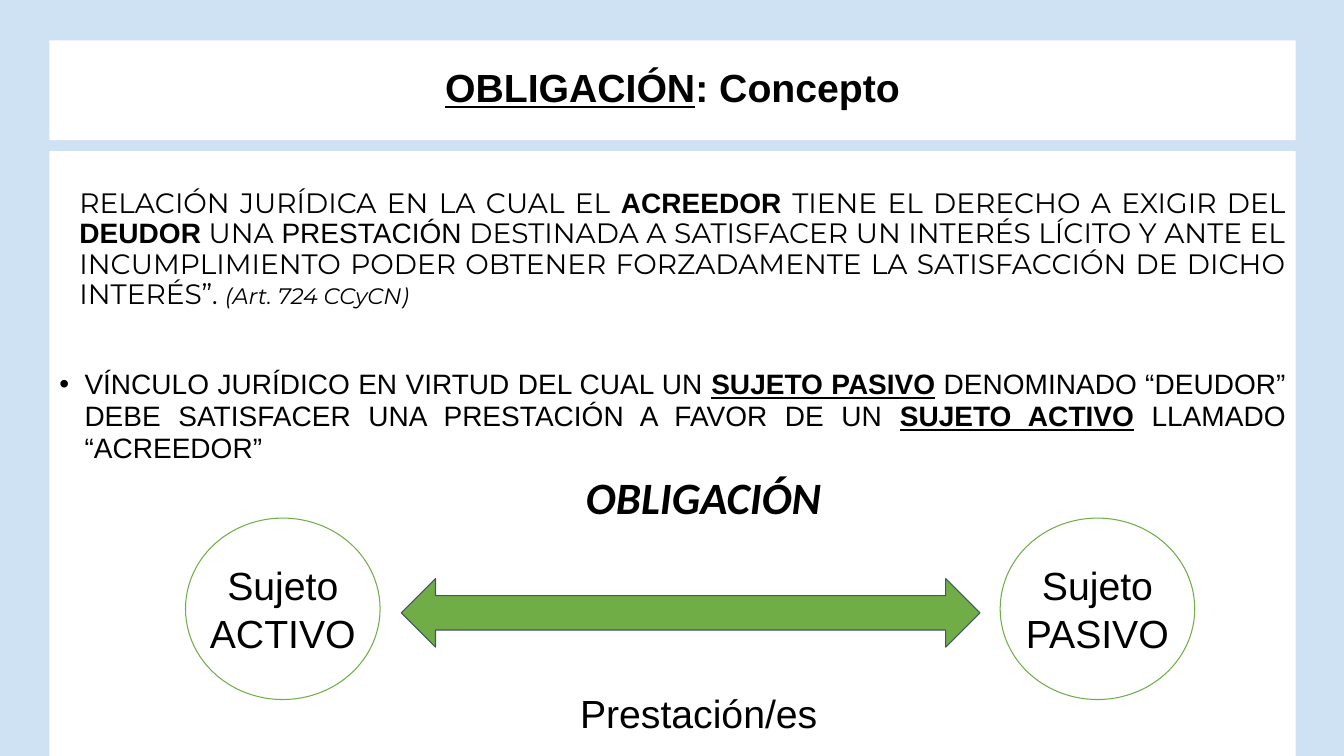
from lxml import etree
from pptx import Presentation
from pptx.dml.color import RGBColor
from pptx.enum.shapes import MSO_SHAPE
from pptx.enum.text import MSO_ANCHOR, PP_ALIGN
from pptx.oxml.ns import qn
from pptx.util import Inches, Pt

RECT, OVAL = MSO_SHAPE.RECTANGLE, MSO_SHAPE.OVAL
ARROW = MSO_SHAPE.LEFT_RIGHT_ARROW
TOP, MIDDLE = MSO_ANCHOR.TOP, MSO_ANCHOR.MIDDLE
CENTER, JUSTIFY = PP_ALIGN.CENTER, PP_ALIGN.JUSTIFY

THEME = {
    "background": "CFE2F3", "panel": "FFFFFF", "text": "000000",
    "green": "70AD47", "edge": "44546A",
    "sans": "Arial", "display": "Montserrat", "accent": "Calibri",
    "body": 20, "cite": 16, "large": 28, "heading": 32, "line": 0.75,
}

# Each run: text, font key, size key, style letters (b, i, u)
TITLE = [("OBLIGACIÓN", "sans", "large", "bu"),
         (": Concepto", "sans", "large", "b")]
DEFINITION = [
    ("RELACIÓN JURÍDICA EN LA CUAL EL ", "display", "body", ""),
    ("ACREEDOR ", "sans", "body", "b"),
    ("TIENE EL DERECHO A EXIGIR DEL ", "display", "body", ""),
    ("DEUDOR", "sans", "body", "b"),
    (" UNA ", "display", "body", ""),
    ("PRESTACIÓN", "sans", "body", ""),
    (" DESTINADA A SATISFACER UN INTERÉS LÍCITO Y ANTE EL INCUMPLIMIENTO "
     "PODER OBTENER FORZADAMENTE LA SATISFACCIÓN DE DICHO INTERÉS”. ",
     "display", "body", ""),
    ("(Art. 724 CCyCN)", "display", "cite", "i"),
]
BOND = [
    ("VÍNCULO JURÍDICO EN VIRTUD DEL CUAL UN ", "sans", "body", ""),
    ("SUJETO PASIVO", "sans", "body", "bu"),
    (" DENOMINADO “DEUDOR” DEBE SATISFACER UNA PRESTACIÓN A FAVOR DE UN ",
     "sans", "body", ""),
    ("SUJETO ACTIVO", "sans", "body", "bu"),
    (" LLAMADO “ACREEDOR”", "sans", "body", ""),
]
SUBJECTS = [(1.84, ("Sujeto", "ACTIVO")), (9.92, ("Sujeto", "PASIVO"))]
# Captions: centre x, centre y, run
CAPTIONS = [(6.98, 4.93, ("OBLIGACIÓN", "accent", "heading", "bi")),
            (6.93, 7.07, ("Prestación/es", "sans", "large", ""))]

PANEL_LEFT, PANEL_WIDTH = 0.49, 12.36
CAPTION_WIDTH, CAPTION_HEIGHT = 3, 0.6


def color(key):
    return RGBColor.from_string(THEME[key])


def add_shape(s, kind, box, fill=None, line=None):
    sp = s.shapes.add_shape(kind, *map(Inches, box))
    sp.shadow.inherit = False
    if fill:
        sp.fill.solid()
        sp.fill.fore_color.rgb = color(fill)
    else:
        sp.fill.background()
    if line:
        sp.line.color.rgb = color(line)
        sp.line.width = Pt(THEME["line"])
    else:
        sp.line.fill.background()
    return sp


def write(sp, paragraphs, align=CENTER, anchor=MIDDLE, wrap=True, spacing=1.0):
    """Fill a shape with paragraphs of runs and return the paragraphs."""
    tf = sp.text_frame
    tf.word_wrap = wrap
    tf.vertical_anchor = anchor
    for i, runs in enumerate(paragraphs):
        p = tf.add_paragraph() if i else tf.paragraphs[0]
        p.alignment = align
        p.line_spacing = spacing
        for text, font, size, style in runs:
            r = p.add_run()
            r.text = text
            r.font.name = THEME[font]
            r.font.size = Pt(THEME[size])
            r.font.color.rgb = color("text")
            r.font.bold = "b" in style
            r.font.italic = "i" in style
            r.font.underline = "u" in style
    return tf.paragraphs


def indent(p, left, first=0, bullet=None):
    pPr = p._p.get_or_add_pPr()
    pPr.set("marL", str(Inches(left)))
    pPr.set("indent", str(Inches(first)))
    if bullet:
        etree.SubElement(pPr, qn("a:buFont"), typeface=THEME["sans"])
        etree.SubElement(pPr, qn("a:buChar"), char=bullet)


def main():
    prs = Presentation()
    prs.slide_width, prs.slide_height = Inches(13.33), Inches(7.5)
    s = prs.slides.add_slide(prs.slide_layouts[6])
    s.background.fill.solid()
    s.background.fill.fore_color.rgb = color("background")

    title = add_shape(s, RECT, (PANEL_LEFT, 0.4, PANEL_WIDTH, 0.99), "panel")
    write(title, [TITLE], spacing=0.9)

    body = add_shape(s, RECT, (PANEL_LEFT, 1.5, PANEL_WIDTH, 6), "panel")
    body.text_frame.margin_top = Inches(0.38)
    definition, bond = write(body, [DEFINITION, BOND], JUSTIFY, TOP, spacing=0.9)
    indent(definition, 0.2)
    bond.line_spacing = 0.95
    bond.space_before = Pt(42)
    indent(bond, 0.25, -0.25, "•")

    add_shape(s, ARROW, (3.98, 5.74, 5.74, 0.68), "green", "edge")
    for left, words in SUBJECTS:
        circle = add_shape(s, OVAL, (left, 5.14, 1.93, 1.8), line="green")
        write(circle, [[(word, "sans", "large", "")] for word in words], wrap=False)

    for x, y, run in CAPTIONS:
        box = (x - CAPTION_WIDTH / 2, y - CAPTION_HEIGHT / 2,
               CAPTION_WIDTH, CAPTION_HEIGHT)
        write(s.shapes.add_textbox(*map(Inches, box)), [[run]])

    prs.save("out.pptx")


if __name__ == "__main__":
    main()
